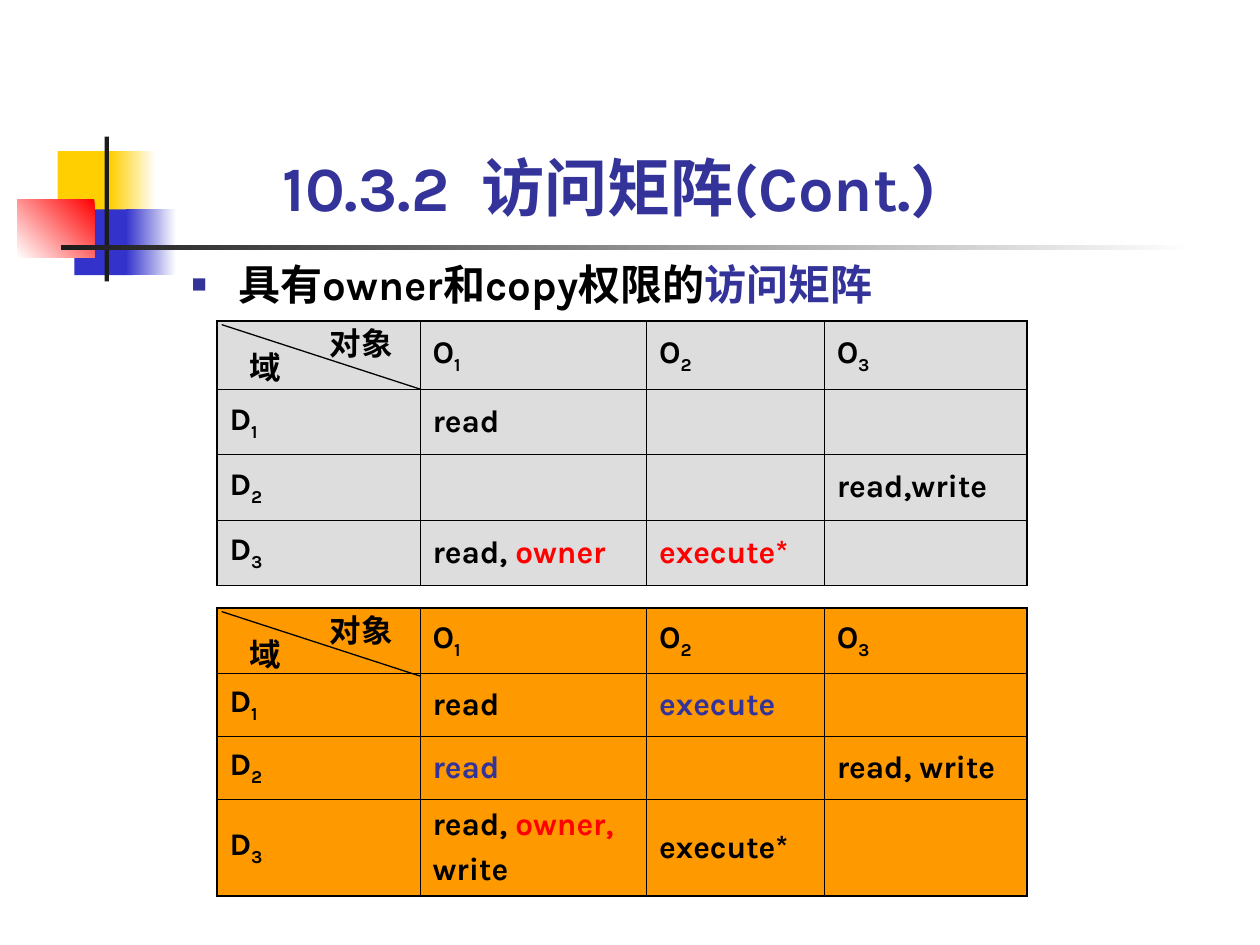
from lxml import etree
from pptx import Presentation
from pptx.dml.color import RGBColor
from pptx.enum.shapes import MSO_CONNECTOR, MSO_SHAPE
from pptx.enum.text import MSO_ANCHOR, MSO_AUTO_SIZE, PP_ALIGN
from pptx.oxml.ns import qn
from pptx.util import Pt

RECTANGLE, STRAIGHT = MSO_SHAPE.RECTANGLE, MSO_CONNECTOR.STRAIGHT
TOP, MIDDLE, BOTTOM = MSO_ANCHOR.TOP, MSO_ANCHOR.MIDDLE, MSO_ANCHOR.BOTTOM
LEFT, NO_AUTOSIZE = PP_ALIGN.LEFT, MSO_AUTO_SIZE.NONE

BLACK = RGBColor(0x00, 0x00, 0x00)
WHITE = RGBColor(0xFF, 0xFF, 0xFF)
CHARCOAL = RGBColor(0x1C, 0x1C, 0x1C)
INDIGO = RGBColor(0x33, 0x33, 0x99)
BLUE = RGBColor(0x33, 0x33, 0xCC)
YELLOW = RGBColor(0xFF, 0xCF, 0x01)
RED = RGBColor(0xFF, 0x00, 0x00)
GREY = RGBColor(0xDD, 0xDD, 0xDD)
ORANGE = RGBColor(0xFF, 0x99, 0x00)

TABLE_LEFT = 124
COLUMN_WIDTHS = (116, 129.5, 101.5, 116)
THIN, THICK = 0.45, 1.08


class SlideBuilder:
    font_name = "Karla"

    def __init__(self, slide):
        self.slide = slide

    def runs(self, paragraph, parts, size):
        """Add (text, colour, baseline) runs; colour and baseline are optional."""
        for text, *look in parts:
            run = paragraph.add_run()
            run.text = text
            font = run.font
            font.name, font.size, font.bold = self.font_name, Pt(size), True
            font.color.rgb = look[0] if look else BLACK
            properties = run._r.get_or_add_rPr()
            etree.SubElement(properties, qn("a:ea"), typeface=self.font_name)
            if len(look) > 1:
                properties.set("baseline", str(look[1] * 1000))

    def frame(self, shape, parts, size, anchor=TOP):
        frame = shape.text_frame
        frame.margin_left = frame.margin_right = 0
        frame.margin_top = frame.margin_bottom = 0
        frame.word_wrap, frame.auto_size = True, NO_AUTOSIZE
        frame.vertical_anchor = anchor
        paragraph = frame.paragraphs[0]
        paragraph.alignment, paragraph.space_before = LEFT, Pt(0)
        self.runs(paragraph, parts, size)
        return paragraph

    def placeholder(self, index, box, parts, size, anchor=TOP):
        holder = self.slide.placeholders[index]
        holder.left, holder.top, holder.width, holder.height = map(Pt, box)
        self.slide.shapes._spTree.append(holder._element)  # in front of the decoration
        return self.frame(holder, parts, size, anchor)

    def bullet(self, paragraph, indent, colour):
        properties = paragraph._p.get_or_add_pPr()
        properties.set("marL", str(Pt(indent)))
        properties.set("indent", str(-Pt(indent)))
        bullet_colour = etree.SubElement(properties, qn("a:buClr"))
        etree.SubElement(bullet_colour, qn("a:srgbClr"), val=str(colour))
        etree.SubElement(properties, qn("a:buSzPct"), val="60000")
        etree.SubElement(properties, qn("a:buChar"), char="■")

    def block(self, box, start, end=None, angle=180):
        block = self.slide.shapes.add_shape(RECTANGLE, *map(Pt, box))
        block.shadow.inherit = False
        block.line.fill.background()
        if end is None:
            block.fill.solid()
            block.fill.fore_color.rgb = start
            return
        block.fill.gradient()
        block.fill.gradient_angle = angle
        for stop, colour, position in zip(block.fill.gradient_stops, (start, end), (0, 1)):
            stop.color.rgb, stop.position = colour, position

    def borders(self, cell, widths):
        properties = cell._tc.get_or_add_tcPr()
        for side, width in zip("LRTB", widths):
            line = etree.SubElement(properties, qn(f"a:ln{side}"), w=str(Pt(width)))
            fill = etree.SubElement(line, qn("a:solidFill"))
            etree.SubElement(fill, qn("a:srgbClr"), val=str(BLACK))

    def matrix(self, top, row_heights, rows, colour):
        table = self.slide.shapes.add_table(
            len(rows), len(COLUMN_WIDTHS), Pt(TABLE_LEFT), Pt(top),
            Pt(sum(COLUMN_WIDTHS)), Pt(sum(row_heights))).table
        table.first_row = table.horz_banding = False
        for column, width in zip(table.columns, COLUMN_WIDTHS):
            column.width = Pt(width)
        last_row, last_column = len(rows) - 1, len(COLUMN_WIDTHS) - 1
        for r, (height, row) in enumerate(zip(row_heights, rows)):
            table.rows[r].height = Pt(height)
            for c, paragraphs in enumerate(row):
                cell = table.cell(r, c)
                outer = (c == 0, c == last_column, r == 0, r == last_row)
                self.borders(cell, [THICK if edge else THIN for edge in outer])
                cell.fill.solid()
                cell.fill.fore_color.rgb = colour
                cell.vertical_anchor = MIDDLE
                for i, parts in enumerate(paragraphs):
                    frame = cell.text_frame
                    paragraph = frame.add_paragraph() if i else frame.paragraphs[0]
                    if i:
                        paragraph.space_before = Pt(4.5)
                    self.runs(paragraph, parts, 18)

    def corner(self, top):
        """Split the header corner of a matrix into object and domain."""
        shapes = self.slide.shapes.add_group_shape().shapes

        def label(text, left, offset):
            box = shapes.add_textbox(Pt(left), Pt(top + offset), Pt(38.2), Pt(21.6))
            self.frame(box, [(text,)], 18)

        label("对象", 188.6, 1.5)
        diagonal = shapes.add_connector(
            STRAIGHT, Pt(126.7), Pt(top + 2), Pt(240.5), Pt(top + 39))
        diagonal.line.color.rgb, diagonal.line.width = BLACK, Pt(0.75)
        etree.SubElement(diagonal._element.spPr, qn("a:effectLst"))
        label("域", 142.6, 15.5)


def indexed(letter, number):
    return [[(letter,), (str(number), BLACK, -25)]]


def matrix_rows(rights):
    """Put the object header and the domain names round the rights."""
    header = [[]] + [indexed("O", n) for n in (1, 2, 3)]
    return [header] + [[indexed("D", n)] + row for n, row in enumerate(rights, 1)]


def main():
    deck = Presentation()
    deck.slide_width, deck.slide_height = Pt(720), Pt(540)
    builder = SlideBuilder(deck.slides.add_slide(deck.slide_layouts[1]))

    # Decoration
    builder.block((33, 86.4, 37.5, 37.5), YELLOW)
    builder.block((63, 86.4, 26, 37.5), WHITE, YELLOW)
    builder.block((42.5, 119.7, 33.5, 37.5), BLUE)
    builder.block((72, 119.7, 28.8, 37.5), WHITE, BLUE)
    builder.block((9.8, 113.8, 44.2, 33.4), RED, WHITE, 225)
    builder.block((59.8, 78, 2.5, 82.8), CHARCOAL)
    builder.block((34.8, 140.2, 648, 2.5), WHITE, CHARCOAL)

    # Title and lead line
    builder.placeholder(0, (161.5, 85, 420.5, 43.2),
                        [("10.3.2  访问矩阵(Cont.)", INDIGO)], 36, BOTTOM)
    lead = builder.placeholder(1, (109.5, 147.6, 416, 57.6),
                               [("具有owner和copy权限的",), ("访问矩阵", INDIGO)], 24)
    builder.bullet(lead, 27, INDIGO)

    # Matrix before the rights are passed on
    before = matrix_rows([
        [[[("read",)]], [], []],
        [[], [], [[("read,write",)]]],
        [[[("read, ",), ("owner", RED)]], [[("execute*", RED)]], []],
    ])
    builder.matrix(183.5, (38.9, 37.4, 37.4, 37.4), before, GREY)
    builder.corner(183.5)

    # Matrix after the rights are passed on
    after = matrix_rows([
        [[[("read",)]], [[("execute", INDIGO)]], []],
        [[[("read", INDIGO)]], [], [[("read, write",)]]],
        [[[("read, ",), ("owner,", RED)], [("write",)]], [[("execute*",)]], []],
    ])
    builder.matrix(347.5, (37.2, 36, 36, 55.4), after, ORANGE)
    builder.corner(347.5)

    deck.save("out.pptx")


if __name__ == "__main__":
    main()
